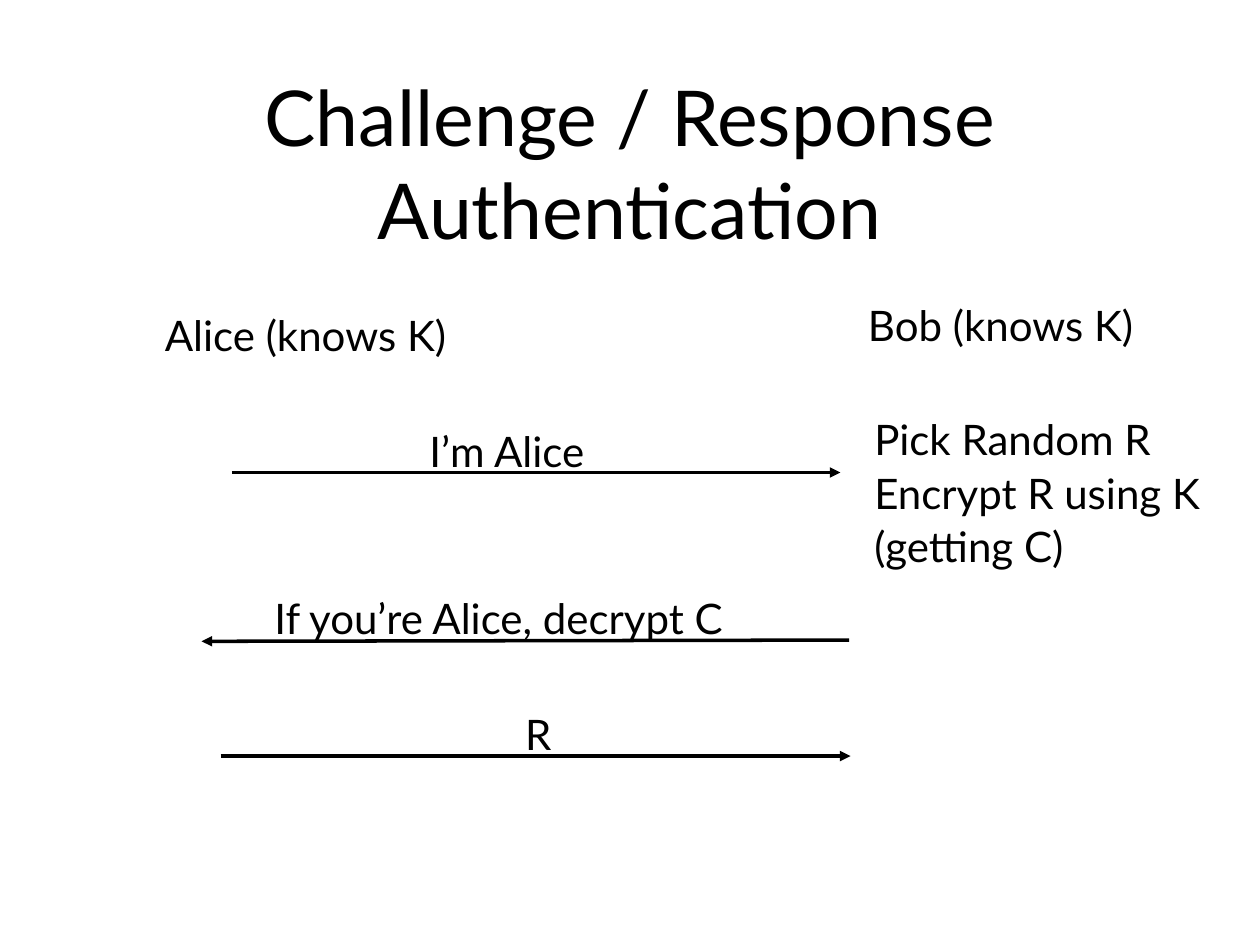
from lxml.etree import SubElement
from pptx import Presentation
from pptx.dml.color import RGBColor
from pptx.enum.shapes import MSO_CONNECTOR
from pptx.enum.text import MSO_ANCHOR, MSO_AUTO_SIZE, PP_ALIGN
from pptx.oxml.ns import qn
from pptx.util import Inches, Pt


def color(value):
    return RGBColor.from_string(value)


def add_text(slide, lines, left, top, width, height, size, wrap):
    shape = slide.shapes.add_textbox(Inches(left), Inches(top), Inches(width), Inches(height))
    text_frame = shape.text_frame
    text_frame.word_wrap = wrap
    text_frame.text = "\n".join(lines)
    for index, paragraph in enumerate(text_frame.paragraphs):
        paragraph.line_spacing = 1.06 if index else 1.01
        for run in paragraph.runs:
            run.font.name = "Lato"
            run.font.size = Pt(size)
            run.font.color.rgb = color("000000")
    return text_frame


presentation = Presentation()
presentation.slide_width = Inches(10)
presentation.slide_height = Inches(7.5)
slide = presentation.slides.add_slide(presentation.slide_layouts[6])

title = add_text(slide, ["Challenge / Response Authentication"], 0.75, 0.48, 8.5, 1.61, 44, True)
title.vertical_anchor = MSO_ANCHOR.MIDDLE
title.paragraphs[0].alignment = PP_ALIGN.CENTER

messages = [
    (1.84, 3.75, 6.67, 3.75),
    (6.74, 5.08, 1.6, 5.09),
    (1.75, 6, 6.75, 6),
]
for message in messages:
    arrow = slide.shapes.add_connector(MSO_CONNECTOR.STRAIGHT, *map(Inches, message))
    arrow.line.color.rgb = color("000000")
    arrow.line.width = Pt(2)
    SubElement(arrow.line._get_or_add_ln(), qn("a:tailEnd"), type="triangle")
    SubElement(arrow._element.spPr, qn("a:effectLst"))

labels = [
    (["Alice (knows K)"], 1.21, 2.4, 2.52, 0.51, False),
    (["Bob (knows K)"], 6.79, 2.32, 2.41, 0.51, False),
    (["I’m Alice"], 3.31, 3.32, 1.85, 0.51, True),
    (["Pick Random R", "Encrypt R using K", "(getting C)"], 6.84, 3.23, 2.92, 1.35, False),
    (["If you’re Alice, decrypt C"], 2.08, 4.65, 3.96, 0.51, False),
    (["R"], 4.07, 5.57, 0.41, 0.51, False),
]
for lines, left, top, width, height, wrap in labels:
    label = add_text(slide, lines, left, top, width, height, 24, wrap)
    label.auto_size = MSO_AUTO_SIZE.SHAPE_TO_FIT_TEXT

presentation.save("out.pptx")
